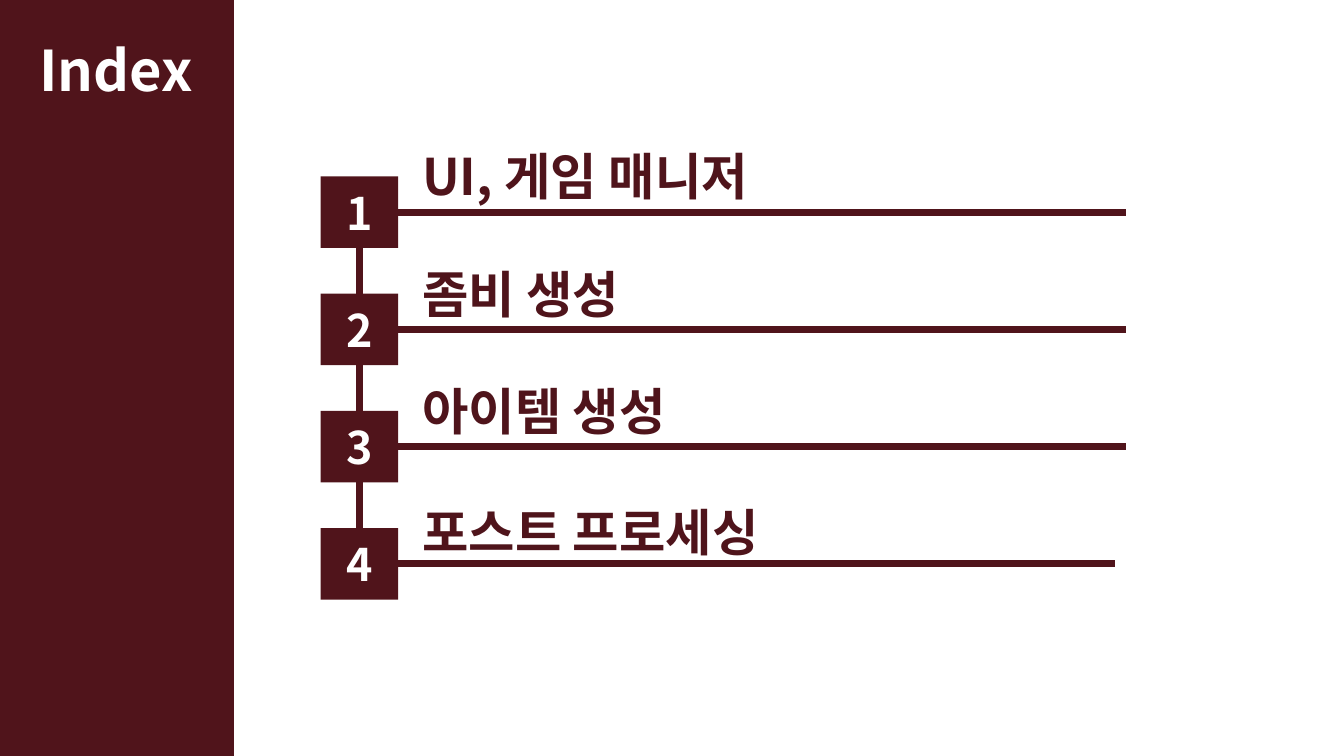
from lxml import etree
from pptx import Presentation
from pptx.dml.color import RGBColor
from pptx.enum.shapes import MSO_CONNECTOR, MSO_SHAPE
from pptx.enum.text import MSO_ANCHOR, MSO_AUTO_SIZE, PP_ALIGN
from pptx.oxml.ns import qn
from pptx.util import Inches, Pt

TITLE = "Index"
# label, label top, label width, rule start, rule end
ITEMS = [
    ("UI, 게임 매니저", 1.39, 7.68, 3.95, 11.17),
    ("좀비 생성", 2.56, 8.82, 3.95, 11.17),
    ("아이템 생성", 3.72, 8.82, 3.95, 11.17),
    ("포스트 프로세싱", 4.92, 8.82, 3.85, 11.06),
]

FONT = "Noto Sans CJK KR"
MAROON = RGBColor(0x50, 0x14, 0x1B)
LABEL_MAROON = RGBColor(0x4F, 0x14, 0x1B)
WHITE = RGBColor(0xFF, 0xFF, 0xFF)

BOX_X, BOX_Y, BOX_W, BOX_H = 3.18, 1.75, 0.77, 0.71
STEP = 1.163
LABEL_X = 4.09


def add_rect(s, x, y, w, h):
    sp = s.shapes.add_shape(MSO_SHAPE.RECTANGLE, Inches(x), Inches(y), Inches(w), Inches(h))
    sp.shadow.inherit = False
    sp.fill.solid()
    sp.fill.fore_color.rgb = MAROON
    sp.line.fill.background()
    return sp


def add_line(s, x1, y1, x2, y2):
    line = s.shapes.add_connector(
        MSO_CONNECTOR.STRAIGHT, Inches(x1), Inches(y1), Inches(x2), Inches(y2))
    line.line.color.rgb = MAROON
    line.line.width = Pt(5)
    etree.SubElement(line._element.spPr, qn("a:effectLst"))


def add_run(p, text, size, color):
    """Add a bold run whose font also covers Korean text."""
    r = p.add_run()
    r.text = text
    r.font.size = Pt(size)
    r.font.bold = True
    r.font.color.rgb = color
    r.font.name = FONT
    etree.SubElement(r.font._element, qn("a:ea")).set("typeface", FONT)


def add_text(s, text, x, y, w, h, size, color):
    tf = s.shapes.add_textbox(Inches(x), Inches(y), Inches(w), Inches(h)).text_frame
    tf.word_wrap = True
    tf.auto_size = MSO_AUTO_SIZE.SHAPE_TO_FIT_TEXT
    add_run(tf.paragraphs[0], text, size, color)


def main():
    prs = Presentation()
    prs.slide_width, prs.slide_height = Inches(13.33), Inches(7.5)
    s = prs.slides.add_slide(prs.slide_layouts[6])

    add_rect(s, 0, 0, 2.32, 7.5)
    add_text(s, TITLE, 0.29, 0.3, 1.84, 0.77, 40, WHITE)

    for i, (label, label_y, label_w, rule_start, rule_end) in enumerate(ITEMS):
        y = BOX_Y + i * STEP
        mid_y = y + BOX_H / 2
        add_line(s, rule_start, mid_y, rule_end, mid_y)
        if i < len(ITEMS) - 1:
            mid_x = BOX_X + BOX_W / 2
            add_line(s, mid_x, y + BOX_H, mid_x, y + STEP)
        tf = add_rect(s, BOX_X, y, BOX_W, BOX_H).text_frame
        tf.vertical_anchor = MSO_ANCHOR.MIDDLE
        p = tf.paragraphs[0]
        p.alignment = PP_ALIGN.CENTER
        add_run(p, str(i + 1), 32, WHITE)
        add_text(s, label, LABEL_X, label_y, label_w, 0.71, 36, LABEL_MAROON)

    prs.save("out.pptx")


if __name__ == "__main__":
    main()
